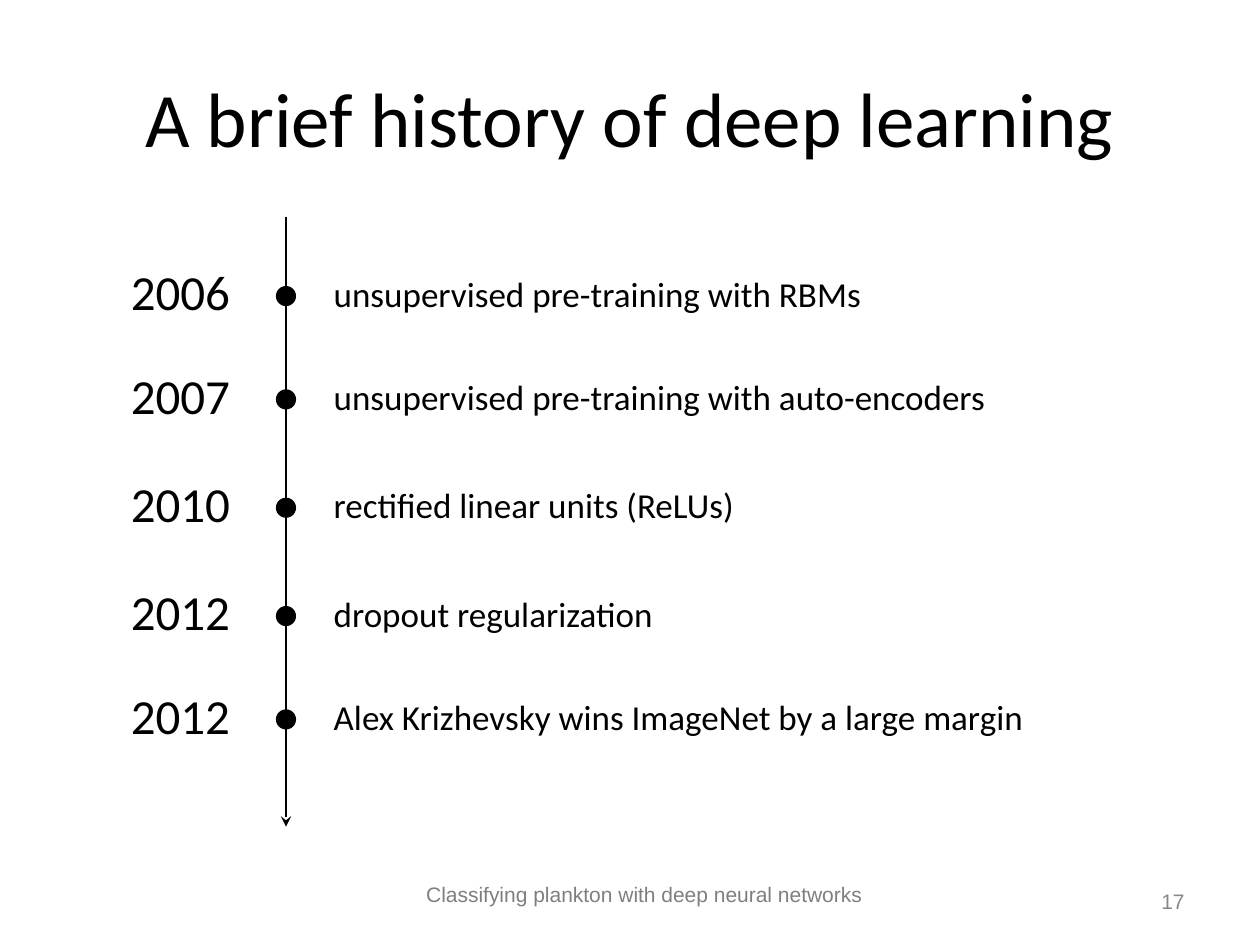
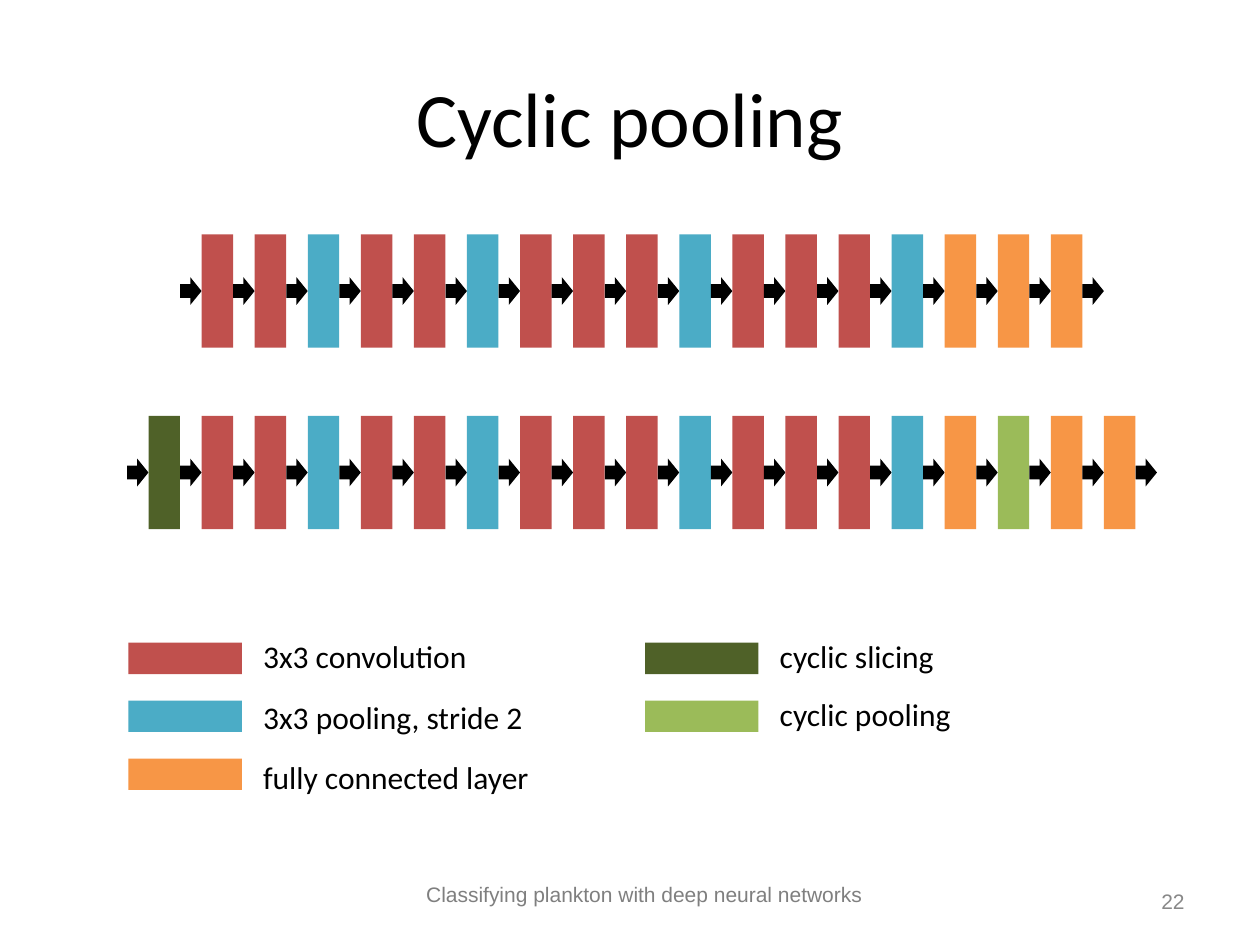
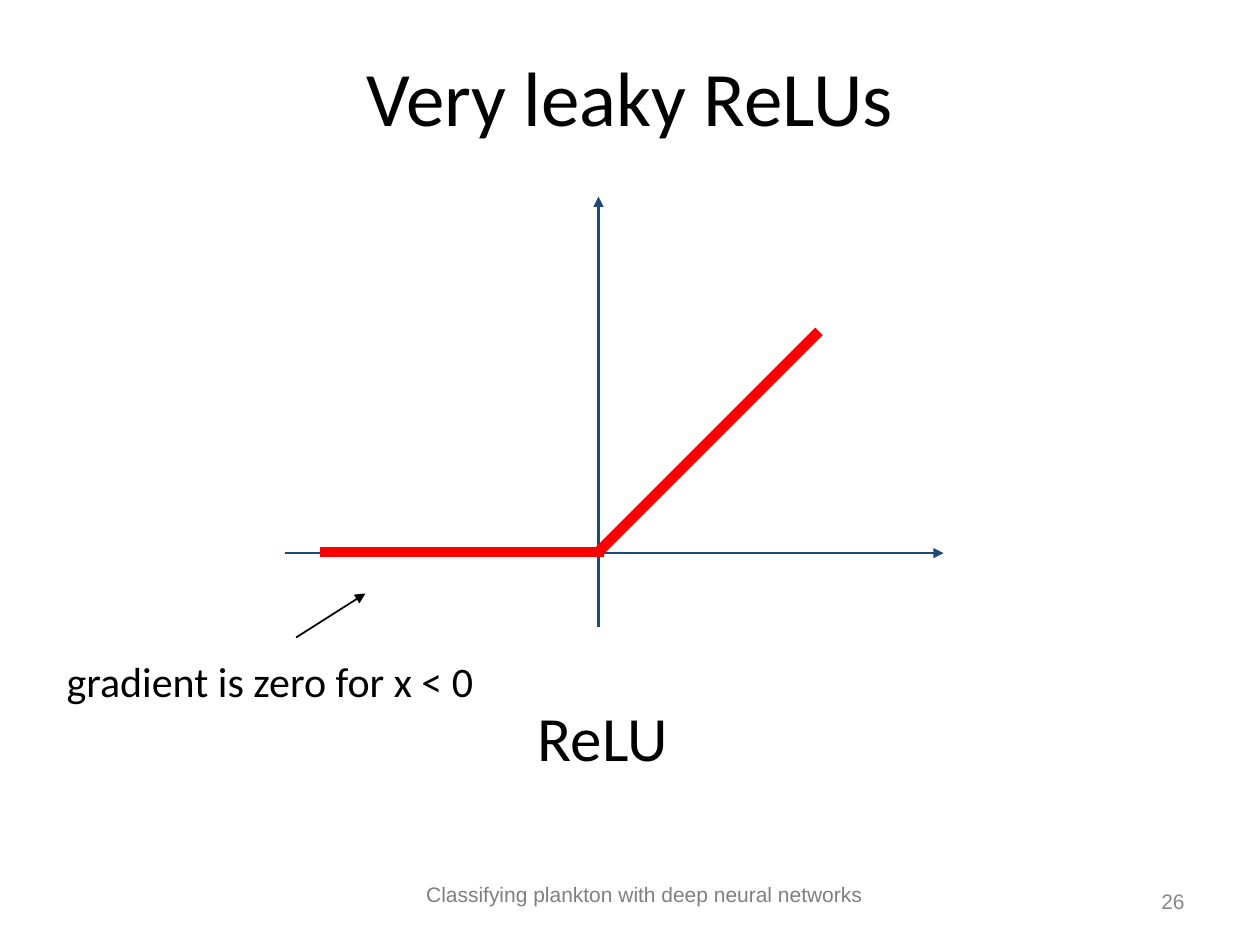
import pptx
import pptx.util
import pptx.dml.color
import pptx.enum.shapes
import pptx.enum.text
import pptx.oxml.ns
import lxml.etree

Inches = pptx.util.Inches
Pt = pptx.util.Pt
RGBColor = pptx.dml.color.RGBColor
SHAPE = pptx.enum.shapes.MSO_SHAPE
ALIGN = pptx.enum.text.PP_ALIGN
ANCHOR = pptx.enum.text.MSO_ANCHOR
qn = pptx.oxml.ns.qn

BLACK = RGBColor(0x00, 0x00, 0x00)
GREY = RGBColor(0x7F, 0x7F, 0x7F)
PALE = RGBColor(0x88, 0x88, 0x88)
NAVY = RGBColor(0x1F, 0x49, 0x7D)
BRIGHT = RGBColor(0xFF, 0x00, 0x00)
RED = RGBColor(0xC0, 0x50, 0x4D)
BLUE = RGBColor(0x4B, 0xAC, 0xC6)
ORANGE = RGBColor(0xF7, 0x96, 0x46)
OLIVE = RGBColor(0x4F, 0x61, 0x28)
GREEN = RGBColor(0x9B, 0xBB, 0x59)

FONT = "Calibri"
FOOTER = "Classifying plankton with deep neural networks"

EVENTS = [
    (0, "2006", "unsupervised pre-training with RBMs", 4.78),
    (0.82, "2007", "unsupervised pre-training with auto-encoders", 5.81),
    (1.68, "2010", "rectified linear units (ReLUs)", 3.74),
    (2.54, "2012", "dropout regularization", 2.91),
    (3.36, "2012", "Alex Krizhevsky wins ImageNet by a large margin", 6.05),
]

PAIR = [RED, RED, BLUE]
TRIPLE = [RED, RED, RED, BLUE]
LAYERS = PAIR * 2 + TRIPLE * 2
PLAIN = LAYERS + [ORANGE] * 3
CYCLIC = [OLIVE] + LAYERS + [ORANGE, GREEN, ORANGE, ORANGE]
STEP = (8.34 - 1.6) / 16

BASIC = [
    (RED, "3x3 convolution", 1.84),
    (BLUE, "3x3 pooling, stride 2", 2.29),
    (ORANGE, "fully connected layer", 2.34),
]
EXTRA = [(OLIVE, "cyclic slicing", 1.47), (GREEN, "cyclic pooling", 1.57)]


def style(para, size, color=BLACK, font=FONT, align=ALIGN.LEFT):
    """Format one paragraph."""
    para.alignment = align
    para.font.size = Pt(size)
    para.font.name = font
    para.font.color.rgb = color


def label(slide, box, text, size, color=BLACK, font=FONT,
          align=ALIGN.LEFT, anchor=ANCHOR.TOP, pad=0.05):
    """Add a one-line text box."""
    frame = slide.shapes.add_textbox(*map(Inches, box)).text_frame
    frame.word_wrap = True
    frame.vertical_anchor = anchor
    frame.margin_top = frame.margin_bottom = Inches(pad)
    frame.text = text
    style(frame.paragraphs[0], size, color, font, align)


def block(shapes, kind, box, color):
    """Add a flat filled shape without outline."""
    shape = shapes.add_shape(kind, *map(Inches, box))
    shape.shadow.inherit = False
    shape.fill.solid()
    shape.fill.fore_color.rgb = color
    shape.line.fill.background()
    return shape


def line(slide, start, end, color, width, head=None):
    """Add a straight line with an optional arrowhead at its end."""
    link = slide.shapes.add_connector(
        pptx.enum.shapes.MSO_CONNECTOR.STRAIGHT, *map(Inches, start + end))
    link.line.color.rgb = color
    link.line.width = Pt(width)
    props = link._element.spPr
    if head:
        lxml.etree.SubElement(props.find(qn("a:ln")), qn("a:tailEnd"), type=head)
    lxml.etree.SubElement(props, qn("a:effectLst"))


def base(deck, title, number, height=1.25):
    """Add a slide with its title, footer and page number."""
    slide = deck.slides.add_slide(deck.slide_layouts[5])
    head = slide.shapes.title
    head.left, head.top, head.width, head.height = map(
        Inches, (0.5, 0.3, 9, height))
    head.text_frame.text = title
    head.text_frame.vertical_anchor = ANCHOR.MIDDLE
    style(head.text_frame.paragraphs[0], 44, align=ALIGN.CENTER)
    label(slide, (1.25, 6.95, 7.73, 0.3), FOOTER, 12, GREY, "Arial",
          ALIGN.CENTER)
    label(slide, (8.52, 6.95, 0.98, 0.4), str(number), 12, PALE, "Arial",
          ALIGN.RIGHT, ANCHOR.MIDDLE)
    return slide


def events(slide, left, top):
    """Draw the dated events along a downward arrow."""
    axis = left + 1.33
    line(slide, (axis, top - 0.31), (axis, top + 4.53), BLACK, 1, "stealth")
    for drop, year, text, width in EVENTS:
        y = top + drop
        label(slide, (left, y, 1.08, 0.57), year, 28)
        label(slide, (left + 1.61, y + 0.08, width, 0.44), text, 20)
        block(slide.shapes, SHAPE.OVAL, (axis - 0.08, y + 0.24, 0.16, 0.16),
              BLACK)


def chain(slide, left, top, colors):
    """Draw a grouped row of layers with arrows before, between and after."""
    shapes = slide.shapes.add_group_shape().shapes
    for i in range(len(colors) + 1):
        x = left + i * STEP
        arrow = block(shapes, SHAPE.RIGHT_ARROW,
                      (x, top + 0.34, 0.17, 0.22), BLACK)
        arrow.adjustments[1] = 0.525
        if i < len(colors):
            block(shapes, SHAPE.RECTANGLE, (x + 0.17, top, 0.25, 0.9),
                  colors[i])


def legend(slide, left, top, items, gap):
    """Draw a column of swatches with their names."""
    for i, (color, text, width) in enumerate(items):
        block(slide.shapes, SHAPE.RECTANGLE,
              (left, top + 0.09 + i * 0.46, 0.9, 0.25), color)
        label(slide, (left + 0.97, top + i * gap, width, 0.4), text, 18)


def graph(slide, left, top):
    """Draw the axes, the rectifier curve and its remarks."""
    mid, zero = left + 2.49, top + 2.83
    line(slide, (left, zero), (left + 5.23, zero), NAVY, 1.5, "triangle")
    line(slide, (mid, top + 3.42), (mid, top), NAVY, 1.5, "triangle")
    zero -= 0.01
    line(slide, (left + 0.28, zero), (mid + 0.04, zero), BRIGHT, 6)
    line(slide, (mid, zero), (mid + 1.75, zero - 1.75), BRIGHT, 6)
    label(slide, (left + 0.6, top + 3.81, 3.85, 0.94), "ReLU", 36,
          align=ALIGN.CENTER, anchor=ANCHOR.MIDDLE, pad=0.1)
    label(slide, (left - 1.83, top + 3.5, 3.85, 0.69),
          "gradient is zero for x < 0", 24, anchor=ANCHOR.MIDDLE, pad=0.1)
    line(slide, (left + 0.09, top + 3.5), (left + 0.64, top + 3.15),
         BLACK, 1, "triangle")


def main():
    """Build and save the slides."""
    deck = pptx.Presentation()
    deck.slide_width, deck.slide_height = Inches(10), Inches(7.5)

    events(base(deck, "A brief history of deep learning", 17), 0.94, 2.03)

    slide = base(deck, "Cyclic pooling", 22)
    chain(slide, 1.43, 1.86, PLAIN)
    chain(slide, 1.43 - STEP, 3.3, CYCLIC)
    legend(slide, 1.02, 5.01, BASIC, 0.48)
    legend(slide, 5.12, 5.01, EXTRA, 0.46)

    graph(base(deck, "Very leaky ReLUs", 26, 0.92), 2.26, 1.56)
    deck.save("out.pptx")


if __name__ == "__main__":
    main()
